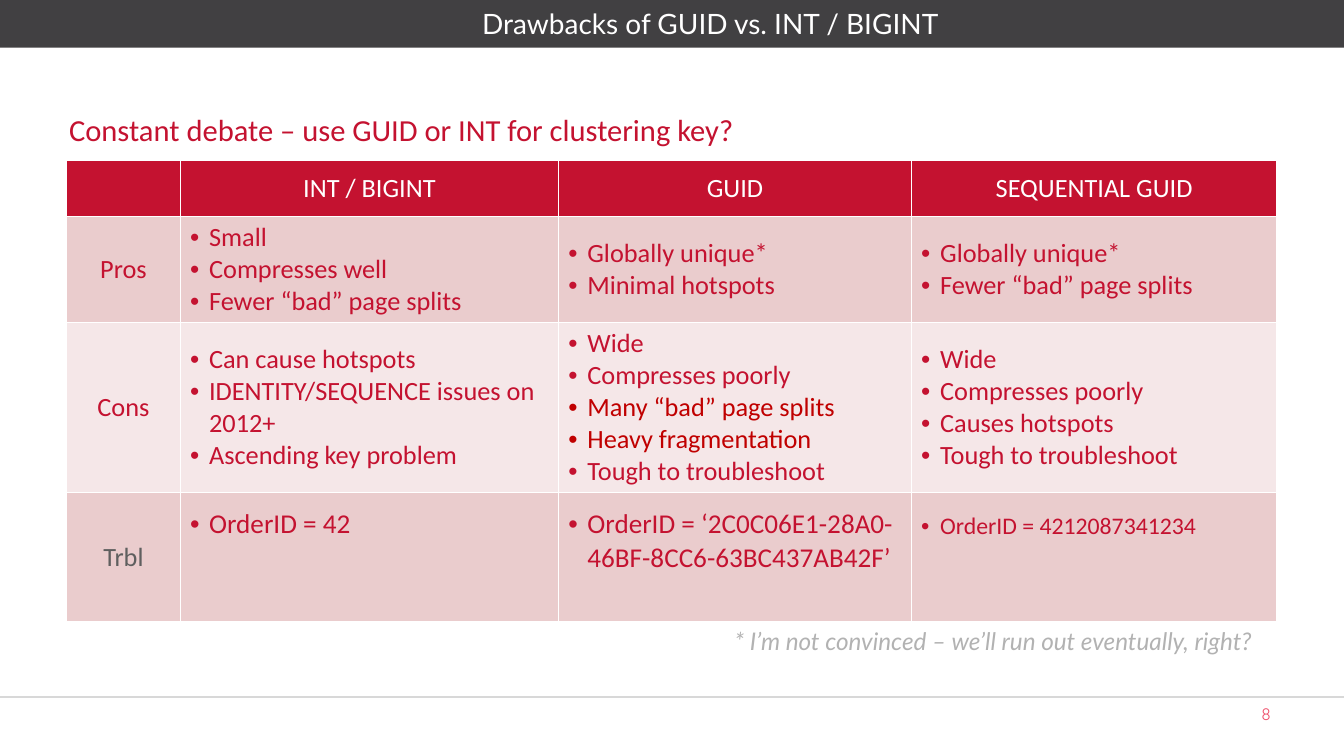
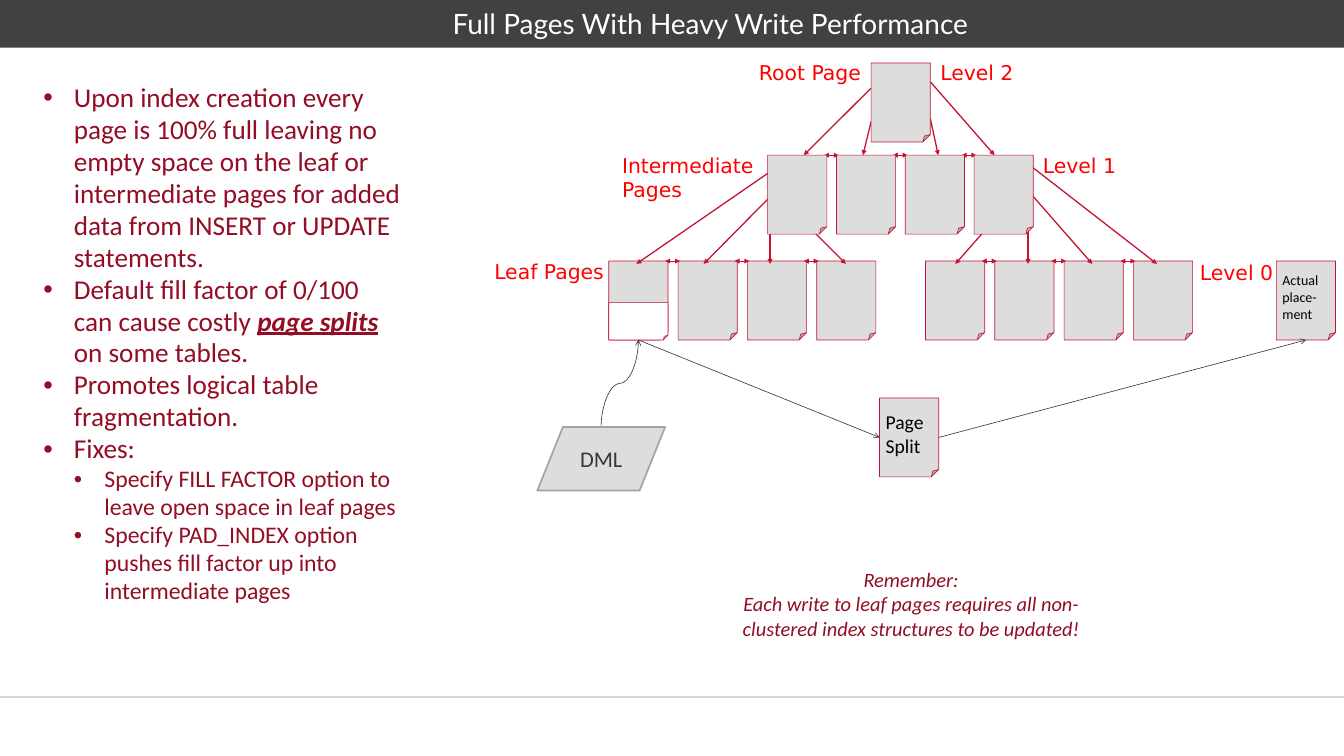
from dataclasses import dataclass
from typing import Optional, Sequence

import lxml.etree
import pptx
import pptx.dml.color
import pptx.enum.shapes
import pptx.enum.text
import pptx.oxml.ns
import pptx.shapes.autoshape
import pptx.shapes.connector
import pptx.slide
import pptx.table
import pptx.text.text
import pptx.util

Cm = pptx.util.Cm
Pt = pptx.util.Pt
qn = pptx.oxml.ns.qn
Align = pptx.enum.text.PP_ALIGN
Anchor = pptx.enum.text.MSO_ANCHOR
Preset = pptx.enum.shapes.MSO_SHAPE
Wire = pptx.enum.shapes.MSO_CONNECTOR

SLIDE_W, SLIDE_H = 55.85, 31.42
BAND_H, FOOTER_Y = 1.98, 28.96
WHITE, BLACK, CHARCOAL, RULE_GREY = "FFFFFF", "000000", "414042", "D8D8D8"
RED, DARK_RED, ALERT_RED, LABEL_RED = "C41230", "930D24", "C00000", "FF0000"
PAGE_GREY, INK, EDGE_GREY = "DDDDDD", "373737", "A3A3A3"
ROW_DARK, ROW_LIGHT = "EACCCD", "F5E7E8"

PAGE_W, PAGE_H = 2.46, 3.28
ROOT_X, ROOT_Y = 36.2, 2.62
MIDDLE_X, MIDDLE_Y, MIDDLE_STEP = 31.9, 6.45, 2.86
LEAF_XS, LEAF_Y, LEAF_STEP = (25.3, 38.46), 10.85, 2.88
LEAF_TIP_Y = 10.97


@dataclass(frozen=True)
class Line:
    text: str
    level: int = 0
    size: Optional[float] = None
    color: Optional[str] = None
    stress: str = ""


@dataclass(frozen=True)
class Box:
    x: float
    y: float
    w: float
    h: float


@dataclass(frozen=True)
class Label:
    text: str
    box: Box
    align: Align = Align.LEFT


@dataclass(frozen=True)
class Branch:
    x1: float
    y1: float
    x2: float
    y2: float


@dataclass(frozen=True)
class Row:
    name: str
    name_color: str
    height: float
    fill: str
    cells: Sequence[Sequence[Line]]
    tops: Optional[Sequence[float]] = None


def rgb(color: str) -> pptx.dml.color.RGBColor:
    return pptx.dml.color.RGBColor.from_string(color)


def write(frame: pptx.text.text.TextFrame, lines: Sequence[Line], *, size: float, color: str,
          font: str = "Calibri", align: Align = Align.LEFT, italic: bool = False,
          hang: float = 0, spacing: Optional[float] = None) -> None:
    for index, line in enumerate(lines):
        paragraph = frame.add_paragraph() if index else frame.paragraphs[0]
        paragraph.alignment = align
        paragraph.line_spacing = spacing
        if hang:
            properties = paragraph._p.get_or_add_pPr()
            properties.set("marL", str(Cm(hang * (line.level + 1))))
            properties.set("indent", str(Cm(-hang)))
            lxml.etree.SubElement(properties, qn("a:buFont")).set("typeface", "Arial")
            lxml.etree.SubElement(properties, qn("a:buChar")).set("char", "•")
            paragraph.level = line.level
        parts = line.text.partition(line.stress) if line.stress else (line.text,)
        for part in filter(None, parts):
            stressed = part == line.stress
            run = paragraph.add_run()
            run.text = part
            run.font.name = font
            run.font.size = Pt(line.size or size)
            run.font.color.rgb = rgb(line.color or color)
            run.font.italic = italic or stressed
            run.font.bold = run.font.underline = stressed


def text_box(slide: pptx.slide.Slide, box: Box, lines: Sequence[Line], *,
             inset: bool = True, wrap: bool = True, **style) -> None:
    frame = slide.shapes.add_textbox(Cm(box.x), Cm(box.y), Cm(box.w), Cm(box.h)).text_frame
    frame.word_wrap = wrap
    if not inset:
        frame.margin_left = frame.margin_right = frame.margin_top = frame.margin_bottom = 0
    write(frame, lines, **style)


def block(slide: pptx.slide.Slide, preset: Preset, box: Box, fill: str,
          edge: Optional[str] = None, width: float = 0.75) -> pptx.shapes.autoshape.Shape:
    shape = slide.shapes.add_shape(preset, Cm(box.x), Cm(box.y), Cm(box.w), Cm(box.h))
    shape.shadow.inherit = False
    shape.fill.solid()
    shape.fill.fore_color.rgb = rgb(fill)
    if edge:
        shape.line.color.rgb = rgb(edge)
        shape.line.width = Pt(width)
    else:
        shape.line.fill.background()
    shape.text_frame.word_wrap = True
    shape.text_frame.vertical_anchor = Anchor.MIDDLE
    return shape


def page(slide: pptx.slide.Slide, x: float, y: float, h: float = PAGE_H,
         fill: str = PAGE_GREY) -> pptx.shapes.autoshape.Shape:
    sheet = block(slide, Preset.FOLDED_CORNER, Box(x, y, PAGE_W, h), fill, RED)
    folds = next(sheet._element.spPr.iter(qn("a:avLst")))
    folds.clear()
    lxml.etree.SubElement(folds, qn("a:gd"), name="adj", fmla="val 12500")
    return sheet


def wire(slide: pptx.slide.Slide, way: Branch, color: str, width: float, *, head: str = "",
         tail: str = "", kind: Wire = Wire.STRAIGHT) -> pptx.shapes.connector.Connector:
    link = slide.shapes.add_connector(kind, Cm(way.x1), Cm(way.y1), Cm(way.x2), Cm(way.y2))
    link.line.color.rgb = rgb(color)
    link.line.width = Pt(width)
    outline = link.line._get_or_add_ln()
    for tag, end in (("a:headEnd", head), ("a:tailEnd", tail)):
        if end:
            lxml.etree.SubElement(outline, qn(tag)).set("type", end)
    lxml.etree.SubElement(link._element.spPr, qn("a:effectLst"))
    return link


def join(slide: pptx.slide.Slide, start: pptx.shapes.autoshape.Shape, start_side: int,
         end: pptx.shapes.autoshape.Shape, end_side: int) -> None:
    link = wire(slide, Branch(0, 0, 1, 1), INK, 0.75, tail="arrow")
    link.begin_connect(start, start_side)
    link.end_connect(end, end_side)


def siblings(slide: pptx.slide.Slide, xs: Sequence[float], y: float) -> None:
    for x in xs[:-1]:
        wire(slide, Branch(x + 2.34, y, x + 2.96, y), RED, 0.75, head="triangle", tail="triangle")


def new_slide(deck, title: str) -> pptx.slide.Slide:
    slide = deck.slides.add_slide(deck.slide_layouts[6])
    block(slide, Preset.RECTANGLE, Box(0, 0, SLIDE_W, BAND_H), CHARCOAL)
    wire(slide, Branch(0, FOOTER_Y, SLIDE_W, FOOTER_Y), RULE_GREY, 2)
    text_box(slide, Box(15.65, 0.28, 27.74, 1.4), [Line(title)], inset=False,
             size=33, color=WHITE, font="Lato", align=Align.CENTER)
    return slide


def fill_cell(cell: pptx.table._Cell, fill: str, lines: Sequence[Line],
              top: Optional[float] = None, **style) -> None:
    properties = cell._tc.get_or_add_tcPr()
    for side in ("a:lnL", "a:lnR", "a:lnT", "a:lnB"):
        border = lxml.etree.SubElement(properties, qn(side), w=str(Pt(1)))
        paint = lxml.etree.SubElement(border, qn("a:solidFill"))
        lxml.etree.SubElement(paint, qn("a:srgbClr")).set("val", WHITE)
    cell.fill.solid()
    cell.fill.fore_color.rgb = rgb(fill)
    cell.margin_left = cell.margin_right = Cm(0.41)
    cell.margin_top = Cm(top or 0.2)
    cell.margin_bottom = Cm(0.2)
    cell.vertical_anchor = Anchor.TOP if top else Anchor.MIDDLE
    write(cell.text_frame, lines, size=31, **style)


def lines_of(*texts: str) -> list[Line]:
    return [Line(text) for text in texts]


def key_debate(deck) -> None:
    slide = new_slide(deck, "Drawbacks of GUID vs. INT / BIGINT")
    text_box(slide, Box(2.87, 4.62, 50.27, 1.55),
             lines_of("Constant debate – use GUID or INT for clustering key?"),
             inset=False, size=36, color=RED)
    text_box(slide, Box(52.17, 29.11, 3.43, 1.68), lines_of("8"),
             size=19.8, color="EF4F6A", font="Quicksand")

    headings = ("", "INT / BIGINT", "GUID", "SEQUENTIAL GUID")
    widths = (4.72, 15.72, 14.66, 15.19)
    header_height = 2.34
    rows = (
        Row("Pros", RED, 4.41, ROW_DARK, (
            lines_of("Small", "Compresses well", "Fewer “bad” page splits"),
            lines_of("Globally unique*", "Minimal hotspots"),
            lines_of("Globally unique*", "Fewer “bad” page splits"))),
        Row("Cons", RED, 7.07, ROW_LIGHT, (
            lines_of("Can cause hotspots", "IDENTITY/SEQUENCE issues on 2012+",
                     "Ascending key problem"),
            [*lines_of("Wide", "Compresses poorly"),
             Line("Many “bad” page splits", color=ALERT_RED),
             Line("Heavy fragmentation", color=ALERT_RED),
             Line("Tough to troubleshoot")],
            lines_of("Wide", "Compresses poorly", "Causes hotspots", "Tough to troubleshoot"))),
        Row("Trbl", "5F5F5F", 5.36, ROW_DARK, (
            [Line("OrderID = 42", size=32)],
            [Line("OrderID = ‘2C0C06E1-28A0-46BF-8CC6-63BC437AB42F’", size=32)],
            [Line("OrderID = 4212087341234", size=28)]), (0.64, 0.64, 0.81)),
    )
    height = header_height + sum(row.height for row in rows)
    comparison = slide.shapes.add_table(len(rows) + 1, len(widths), Cm(2.77), Cm(6.65),
                                        Cm(sum(widths)), Cm(height)).table
    comparison.first_row = comparison.horz_banding = False
    comparison.rows[0].height = Cm(header_height)
    for column, (heading, width) in enumerate(zip(headings, widths)):
        comparison.columns[column].width = Cm(width)
        fill_cell(comparison.cell(0, column), RED, lines_of(heading),
                  color=WHITE, align=Align.CENTER)
    for number, row in enumerate(rows, 1):
        comparison.rows[number].height = Cm(row.height)
        fill_cell(comparison.cell(number, 0), row.fill, lines_of(row.name),
                  color=row.name_color, align=Align.CENTER)
        for column, points in enumerate(row.cells, 1):
            fill_cell(comparison.cell(number, column), row.fill, points,
                      row.tops[column - 1] if row.tops else None, color=RED, hang=0.79)

    text_box(slide, Box(30.28, 25.91, 22.83, 1.47),
             lines_of("* I’m not convinced – we’ll run out eventually, right?"),
             wrap=False, size=28.6, color="B2B2B2", font="Lato", italic=True)


def full_pages(deck) -> None:
    slide = new_slide(deck, "Full Pages With Heavy Write Performance")
    text_box(slide, Box(30.28, 23.57, 15.16, 3.84),
             lines_of("Remember:", "Each write to leaf pages requires all non-clustered "
                      "index structures to be updated!"),
             inset=False, size=24, color=DARK_RED, align=Align.CENTER, italic=True)
    text_box(slide, Box(1.8, 3.4, 14.9, 23.6), [
        Line("Upon index creation every page is 100% full leaving no empty space on the leaf "
             "or intermediate pages for added data from INSERT or UPDATE statements."),
        Line("Default fill factor of 0/100 can cause costly page splits on some tables.",
             stress="page splits"),
        Line("Promotes logical table fragmentation."),
        Line("Fixes:"),
        Line("Specify FILL FACTOR option to leave open space in leaf pages", 1, 28),
        Line("Specify PAD_INDEX option pushes fill factor up into intermediate pages", 1, 28),
    ], inset=False, size=32, color=DARK_RED, hang=1.27, spacing=0.98)

    for first_x in LEAF_XS:
        leaf_xs = [first_x + LEAF_STEP * i for i in range(4)]
        for x in leaf_xs:
            page(slide, x, LEAF_Y)
        siblings(slide, leaf_xs, LEAF_Y)
    middle_xs = [MIDDLE_X + MIDDLE_STEP * i for i in range(4)]
    siblings(slide, middle_xs, MIDDLE_Y)

    root_right = ROOT_X + PAGE_W
    branches = (
        Branch(32, 7.14, 26.44, LEAF_TIP_Y), Branch(32, 8.18, 29.24, LEAF_TIP_Y),
        Branch(32, 9.58, 32, LEAF_TIP_Y), Branch(33.76, 9.58, 35.15, LEAF_TIP_Y),
        Branch(42.72, 6.81, 48.08, LEAF_TIP_Y), Branch(42.72, 7.92, 45.39, LEAF_TIP_Y),
        Branch(42.72, 9.47, 42.72, LEAF_TIP_Y), Branch(41.02, 9.47, 39.7, LEAF_TIP_Y),
        Branch(ROOT_X, 3.66, 33.4, MIDDLE_Y), Branch(ROOT_X, 5.05, 35.86, MIDDLE_Y),
        Branch(root_right, 3.4, 41.33, MIDDLE_Y), Branch(root_right, 4.93, 38.99, MIDDLE_Y),
    )
    for branch in branches:
        wire(slide, branch, RED, 1.5, tail="triangle")
    for x in middle_xs:
        page(slide, x, MIDDLE_Y)
    page(slide, ROOT_X, ROOT_Y)

    labels = (
        Label("Leaf Pages", Box(20.29, 10.64, 5.44, 1.27)),
        Label("Root Page", Box(31.29, 2.36, 6.12, 1.27)),
        Label("Intermediate Pages", Box(25.6, 6.22, 6.17, 2.31)),
        Label("Level 0", Box(48.59, 10.67, 5.59, 1.27), Align.CENTER),
        Label("Level 1", Box(42.06, 6.22, 5.59, 1.27), Align.CENTER),
        Label("Level 2", Box(37.8, 2.36, 5.59, 1.27), Align.CENTER),
    )
    for label in labels:
        text_box(slide, label.box, lines_of(label.text), size=24, color=LABEL_RED,
                 font="DejaVu Sans", align=label.align)

    split = page(slide, 36.55, 16.54)
    write(split.text_frame, lines_of("Page", "Split"), size=23.1, color=BLACK)
    placement = page(slide, 53.04, LEAF_Y)
    write(placement.text_frame, lines_of("Actual", "place-", "ment"), size=16.5, color=BLACK)
    free_space = page(slide, LEAF_XS[0], 12.58, 1.55, WHITE)

    insertion = wire(slide, Branch(27.56, 16.71, 23.95, 15.16), INK, 0.75, tail="arrow",
                     kind=Wire.CURVE)
    insertion._element.spPr.find(qn("a:xfrm")).set("rot", "5400000")
    dml = block(slide, Preset.FLOWCHART_DATA, Box(22.33, 17.75, 5.31, 2.64),
                PAGE_GREY, EDGE_GREY, 2)
    write(dml.text_frame, lines_of("DML"), size=26.4, color=INK, align=Align.CENTER)
    join(slide, free_space, 2, split, 1)
    join(slide, split, 3, placement, 2)


def main() -> None:
    deck = pptx.Presentation()
    deck.slide_width, deck.slide_height = Cm(SLIDE_W), Cm(SLIDE_H)
    key_debate(deck)
    full_pages(deck)
    deck.save("out.pptx")


if __name__ == "__main__":
    main()
